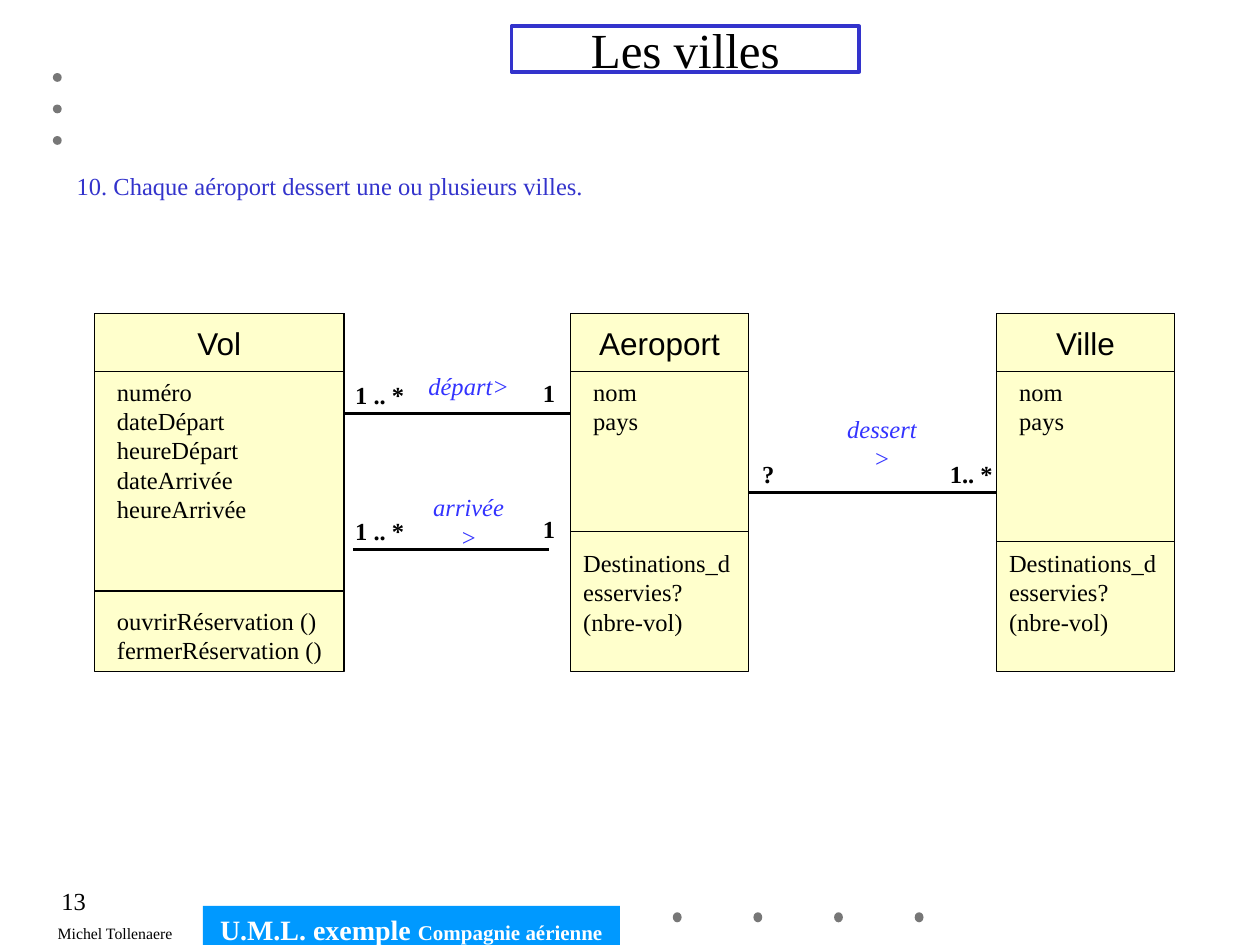
from dataclasses import dataclass

from lxml import etree
from pptx import Presentation
from pptx.dml.color import RGBColor
from pptx.enum.shapes import MSO_CONNECTOR, MSO_SHAPE
from pptx.enum.text import MSO_ANCHOR, PP_ALIGN
from pptx.oxml.ns import qn
from pptx.util import Inches, Pt

RECTANGLE, OVAL = MSO_SHAPE.RECTANGLE, MSO_SHAPE.OVAL
STRAIGHT = MSO_CONNECTOR.STRAIGHT
LEFT, CENTER, RIGHT = PP_ALIGN.LEFT, PP_ALIGN.CENTER, PP_ALIGN.RIGHT
TOP, MIDDLE = MSO_ANCHOR.TOP, MSO_ANCHOR.MIDDLE
LEFT_SIDE, RIGHT_SIDE = 1, 3


@dataclass(frozen=True)
class Theme:
    """Colours, fonts and type sizes of the slide."""
    black: str = "000000"
    white: str = "FFFFFF"
    dot: str = "777777"
    banner: str = "0099FF"
    accent: str = "3333CC"
    role: str = "3333FF"
    class_fill: str = "FFFFCC"
    serif: str = "Times New Roman"
    sans: str = "Arial"
    title: int = 28
    class_name: int = 18
    banner_size: int = 16
    body: int = 14
    banner_small: int = 12
    author: int = 9


THEME = Theme()


def format_run(run, size, color, font=THEME.serif, bold=False, italic=False):
    """Apply type settings to one run."""
    run.font.name = font
    run.font.size = Pt(size)
    run.font.color.rgb = RGBColor.from_string(color)
    run.font.bold = bold
    run.font.italic = italic


def write(shape, text, size=THEME.body, color=THEME.black, align=LEFT,
          anchor=TOP, wrap=True, **style):
    """Fill a shape with uniformly formatted lines of text."""
    frame = shape.text_frame
    frame.text = text
    frame.word_wrap = wrap
    frame.vertical_anchor = anchor
    for paragraph in frame.paragraphs:
        paragraph.alignment = align
        for run in paragraph.runs:
            format_run(run, size, color, **style)


def add_text(slide, box, text, **settings):
    """Add a text box at (left, top, width, height)."""
    shape = slide.shapes.add_textbox(*map(Inches, box))
    write(shape, text, **settings)


def add_box(slide, box, fill=None, line=None, width=0.75, kind=RECTANGLE):
    """Add a preset shape with an optional fill and outline."""
    shape = slide.shapes.add_shape(kind, *map(Inches, box))
    shape.shadow.inherit = False
    if fill:
        shape.fill.solid()
        shape.fill.fore_color.rgb = RGBColor.from_string(fill)
    else:
        shape.fill.background()
    if line:
        shape.line.color.rgb = RGBColor.from_string(line)
        shape.line.width = Pt(width)
    else:
        shape.line.fill.background()
    return shape


def add_line(slide, left, right, y, width):
    """Add a horizontal black line."""
    line = slide.shapes.add_connector(
        STRAIGHT, Inches(left), Inches(y), Inches(right), Inches(y))
    line.line.color.rgb = RGBColor.from_string(THEME.black)
    line.line.width = Pt(width)
    etree.SubElement(line._element.spPr, qn("a:effectLst"))
    return line


def add_dots(slide, box, count, step_x=0, step_y=0):
    """Repeat a small dot at equal steps."""
    left, top, width, height = box
    for index in range(count):
        add_box(slide, (left + index * step_x, top + index * step_y, width, height),
                fill=THEME.dot, kind=OVAL)


def add_header(slide, box):
    """Place the framed title."""
    title = add_box(slide, box, line=THEME.accent, width=2.25)
    write(title, "Les villes", size=THEME.title, align=CENTER, anchor=MIDDLE)


def add_footer(slide, box):
    """Place the page number, author, banner and dots along the bottom."""
    left, top, width, height = box
    add_text(slide, (left, top, 0.78, 0.31), "13", align=RIGHT)
    add_text(slide, (left + 0.36, top + 0.3, 1.12, 0.25), "Michel Tollenaere",
             size=THEME.author, wrap=False)
    banner = add_box(slide, (left + 1.61, top + 0.21, 3.31, height - 0.21),
                     fill=THEME.banner)
    write(banner, "U.M.L. exemple ", size=THEME.banner_size, color=THEME.white,
          align=CENTER, bold=True)
    run = banner.text_frame.paragraphs[0].add_run()
    run.text = "Compagnie aérienne"
    format_run(run, THEME.banner_small, THEME.white, bold=True)
    add_dots(slide, (left + 5.34, top + 0.26, 0.07, 0.08), 4, step_x=0.64)


def add_class(slide, box, name, attributes, divider):
    """Place a class box with its name, attributes and divider line."""
    left, top, width, height = box
    body = add_box(slide, box, fill=THEME.class_fill, line=THEME.black)
    header = add_box(slide, (left, top, width, 0.46), line=THEME.black)
    write(header, name, size=THEME.class_name, align=CENTER, anchor=MIDDLE,
          font=THEME.sans)
    add_line(slide, left, left + width, top + divider, 0.75)
    add_text(slide, (left + 0.08, top + 0.45, width - 0.16, 0.3),
             "\n".join(attributes), wrap=False)
    return body


def add_association(slide, left, right, y, labels):
    """Draw an association line with its labels, given as (text, box, is_role)."""
    line = add_line(slide, left, right, y, 1.5)
    for text, box, is_role in labels:
        if is_role:
            add_text(slide, box, text, color=THEME.role, align=CENTER,
                     anchor=MIDDLE, wrap=False, italic=True)
        else:
            add_text(slide, box, text, wrap=False, bold=True)
    return line


def add_diagram(slide, box):
    """Place the three classes and their associations."""
    left, top, width, height = box
    airport_left, city_left = left + 3.78, left + width - 1.41
    add_class(slide, (left, top, 1.98, height), "Vol",
              ("numéro", "dateDépart", "heureDépart", "dateArrivée", "heureArrivée"),
              2.2)
    add_text(slide, (left + 0.08, top + 2.27, 1.83, 0.57),
             "ouvrirRéservation ()\nfermerRéservation ()", wrap=False)
    place_classes = []
    for name, x, divider in (("Aeroport", airport_left, 1.73), ("Ville", city_left, 1.81)):
        place_classes.append(
            add_class(slide, (x, top, 1.41, height), name, ("nom", "pays"), divider))
        add_text(slide, (x, top + 1.81, 1.42, 0.8),
                 "Destinations_desservies? (nbre-vol)")

    for role, y, start, end in (("départ>", top + 0.79, 2.73, airport_left),
                                ("arrivée>", top + 1.87, 2.8, 4.36)):
        add_association(slide, start, end, y, (
            ("1 .. *", (2.72, y - 0.31, 0.59, 0.34), False),
            (role, (3.29, y - 0.39, 0.86, 0.34), True),
            ("1", (4.21, y - 0.33, 0.3, 0.34), False)))

    middle = top + height / 2
    serves = add_association(slide, airport_left + 1.41, city_left, middle, (
        ("?", (5.95, middle - 0.32, 0.3, 0.34), False),
        ("dessert>", (6.56, middle - 0.56, 0.88, 0.34), True),
        ("1.. *", (7.44, middle - 0.32, 0.54, 0.34), False)))
    airport, city = place_classes
    serves.begin_connect(airport, RIGHT_SIDE)
    serves.end_connect(city, LEFT_SIDE)


def main():
    """Build and save the slide."""
    presentation = Presentation()
    presentation.slide_width, presentation.slide_height = Inches(10), Inches(7.5)
    slide = presentation.slides.add_slide(presentation.slide_layouts[6])
    add_dots(slide, (0.42, 0.58, 0.07, 0.07), 3, step_y=0.25)
    add_footer(slide, (0, 6.98, 10, 0.52))
    add_header(slide, (4.06, 0.21, 2.76, 0.36))
    add_text(slide, (0.51, 1.31, 8.98, 0.34),
             "10. Chaque aéroport dessert une ou plusieurs villes.", color=THEME.accent)
    add_diagram(slide, (0.75, 2.49, 8.57, 2.84))
    presentation.save("out.pptx")


if __name__ == "__main__":
    main()
